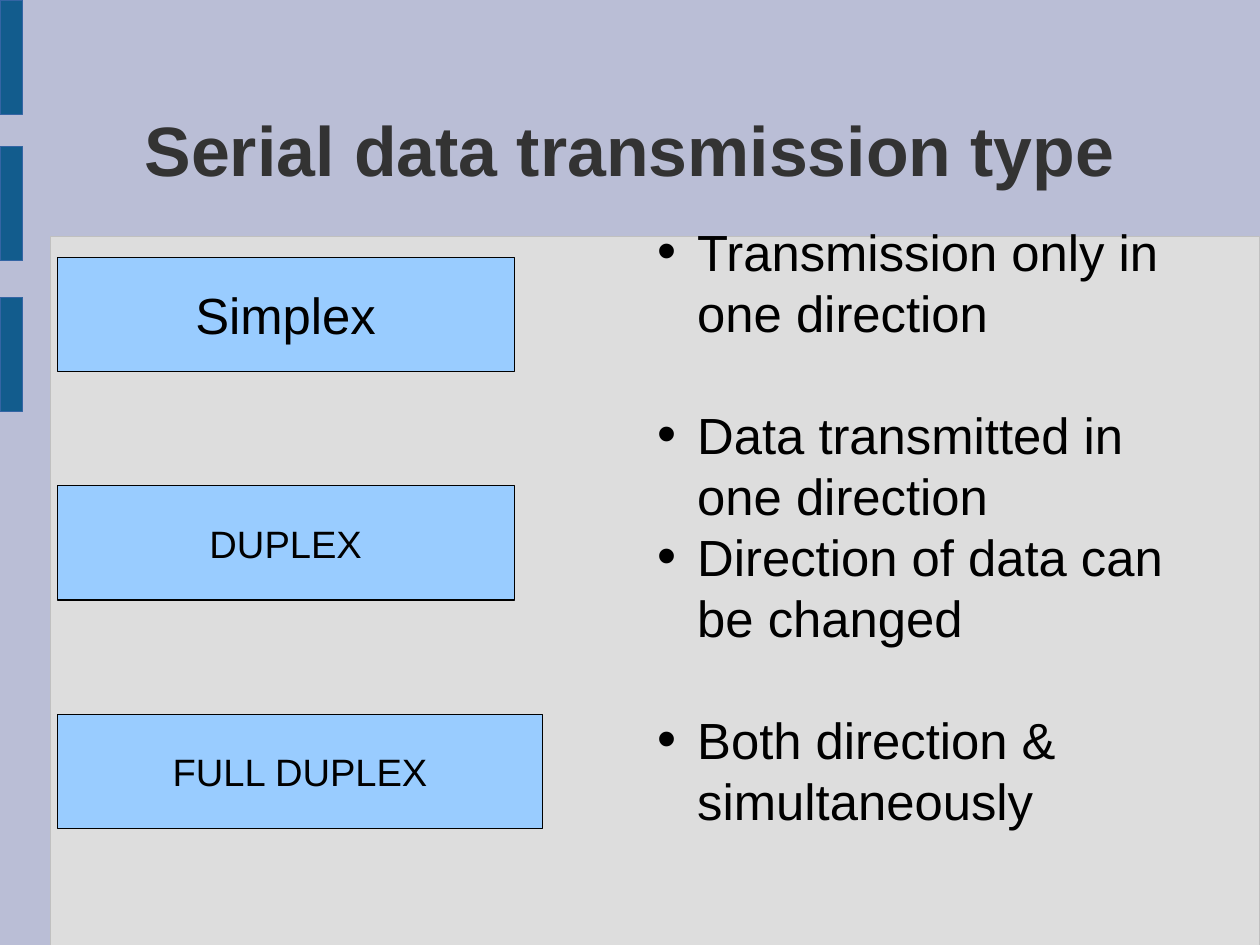
from lxml import etree
from pptx import Presentation
from pptx.dml.color import RGBColor
from pptx.enum.shapes import MSO_SHAPE
from pptx.enum.text import MSO_ANCHOR, PP_ALIGN
from pptx.oxml.ns import qn
from pptx.util import Cm, Inches, Pt

RECTANGLE = MSO_SHAPE.RECTANGLE
MIDDLE = MSO_ANCHOR.MIDDLE
CENTER = PP_ALIGN.CENTER
TITLE_ONLY = 5
LINE_PITCH = 38.4


def style_font(font, size, color, bold=False):
    font.name = "Arial"
    font.size = Pt(size)
    font.bold = bold
    font.color.rgb = RGBColor.from_string(color)


def add_box(slide, left, top, width, height, fill, line):
    shape = slide.shapes.add_shape(
        RECTANGLE, Inches(left), Inches(top), Inches(width), Inches(height))
    shape.shadow.inherit = False
    shape.fill.solid()
    shape.fill.fore_color.rgb = RGBColor.from_string(fill)
    shape.line.color.rgb = RGBColor.from_string(line)
    shape.line.width = Pt(0)
    return shape


# The page is metric: 28 by 21 cm
presentation = Presentation()
presentation.slide_width = Cm(28)
presentation.slide_height = Cm(21)
slide = presentation.slides.add_slide(presentation.slide_layouts[TITLE_ONLY])
slide.background.fill.solid()
slide.background.fill.fore_color.rgb = RGBColor.from_string("BABED6")

# Panel and side bars
add_box(slide, 0.44, 2.07, 10.58, 6.2, "DDDDDD", "C0C0C0")
for top in (0, 1.28, 2.6):
    add_box(slide, 0, top, 0.2, 1, "125C8D", "3465A4")

# Title
title = slide.shapes.title
title.left, title.top = Inches(0.81), Inches(0.61)
title.width, title.height = Inches(9.41), Inches(1.38)
title_frame = title.text_frame
title_frame.text = "Serial data transmission type"
title_frame.vertical_anchor = MIDDLE
title_frame.paragraphs[0].alignment = CENTER
style_font(title_frame.paragraphs[0].runs[0].font, 44, "333333", bold=True)

# Descriptions: (text, starts a new group)
descriptions = [
    ("Transmission only in one direction", False),
    ("Data transmitted in one direction", True),
    ("Direction of data can be changed", False),
    ("Both direction & simultaneously", True),
]
description_box = slide.shapes.add_textbox(
    Inches(5.63), Inches(1.93), Inches(4.84), Inches(5.93))
description_frame = description_box.text_frame
description_frame.word_wrap = True

for frame in (title_frame, description_frame):
    frame.margin_left = frame.margin_right = 0
    frame.margin_top = frame.margin_bottom = 0

for index, (text, new_group) in enumerate(descriptions):
    paragraph = description_frame.paragraphs[0] if index == 0 else description_frame.add_paragraph()
    paragraph.text = text
    properties = paragraph._p.get_or_add_pPr()
    properties.set("marL", str(Inches(0.47)))
    properties.set("indent", str(Inches(-0.35)))
    etree.SubElement(properties, qn("a:buSzPct")).set("val", "107000")
    etree.SubElement(properties, qn("a:buFont")).set("typeface", "Arial")
    etree.SubElement(properties, qn("a:buChar")).set("char", "•")
    paragraph.line_spacing = Pt(LINE_PITCH)
    if new_group:
        paragraph.space_before = Pt(LINE_PITCH)
    style_font(paragraph.runs[0].font, 32, "000000")

# Transmission types: (label, width, text size)
transmission_types = [("Simplex", 4, 32), ("DUPLEX", 4, 24), ("FULL DUPLEX", 4.25, 24)]
for row, (label, width, size) in enumerate(transmission_types):
    box = add_box(slide, 0.5, 2.25 + 2 * row, width, 1, "99CCFF", "000000")
    box.text_frame.text = label
    box.text_frame.vertical_anchor = MIDDLE
    box.text_frame.paragraphs[0].alignment = CENTER
    style_font(box.text_frame.paragraphs[0].runs[0].font, size, "000000")

presentation.save("out.pptx")
